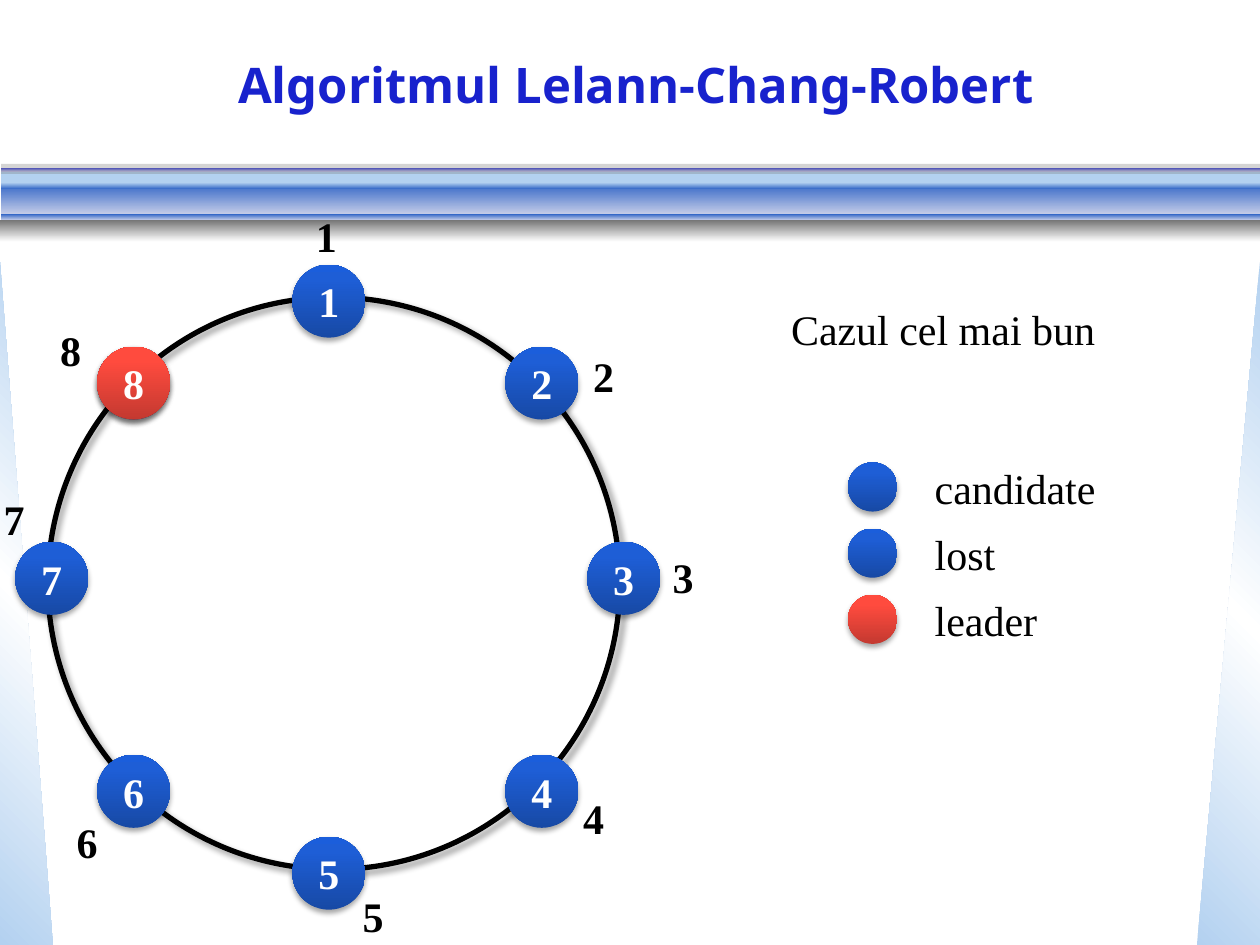
from pptx import Presentation
from pptx.dml.color import RGBColor
from pptx.enum.shapes import MSO_SHAPE as Shape
from pptx.enum.text import MSO_ANCHOR as Anchor, PP_ALIGN as Align
from pptx.oxml import parse_xml
from pptx.oxml.ns import nsdecls, qn
from pptx.util import Inches, Pt

BLACK = RGBColor(0x00, 0x00, 0x00)
WHITE = RGBColor(0xFF, 0xFF, 0xFF)
GRAY = RGBColor(0x77, 0x77, 0x77)
TITLE_BLUE = RGBColor(0x18, 0x22, 0xCD)
LILAC = RGBColor(0xBA, 0xBB, 0xE7)
SKY = RGBColor(0xB3, 0xD1, 0xF0)
BAND_BLUE = RGBColor(0x35, 0x68, 0xC7)
PALE = RGBColor(0xCA, 0xD0, 0xE9)

# Gradient stops: (position in percent, colour)
SIDE_STOPS = [(0, SKY), (50, WHITE), (100, SKY)]
BLUE_STOPS = [(0, RGBColor(0x17, 0x49, 0xA5)), (80, RGBColor(0x1E, 0x5E, 0xD6)),
              (100, RGBColor(0x1B, 0x5E, 0xDB))]
RED_STOPS = [(0, RGBColor(0xC4, 0x39, 0x30)), (80, RGBColor(0xFF, 0x4B, 0x3E)),
             (100, RGBColor(0xFF, 0x4C, 0x3F))]

# Shadows: opacity in percent, blur and distance in points, direction in degrees
NODE_SHADOW = (35, 3.1, 1.8, 90)
RING_SHADOW = (40, 4, 3, 45)

BODY = {"name": "Times New Roman", "size": Pt(24), "bold": False}
STRONG = {**BODY, "bold": True}
TITLE = {"name": "Noto Sans", "size": Pt(28), "bold": True}

NODE_SIZE = 0.58
DOT_SIZE = 0.39
# Number: node position, label position
NODES = {
    "8": ((0.77, 2.75), (0.38, 2.53)),
    "1": ((2.32, 2.1), (2.41, 1.62)),
    "2": ((4.01, 2.75), (4.61, 2.73)),
    "7": ((0.12, 4.3), (-0.07, 3.87)),
    "6": ((0.77, 5.99), (0.51, 6.43)),
    "5": ((2.32, 6.64), (2.78, 7.02)),
    "3": ((4.66, 4.3), (5.24, 4.33)),
    "4": ((4.01, 5.99), (4.53, 6.24)),
}
LEGEND = [("candidate", 1.49, BLUE_STOPS), ("lost", 0.69, BLUE_STOPS),
          ("leader", 1.02, RED_STOPS)]


def add_shape(slide, kind, left, top, width, height, flip=None):
    shape = slide.shapes.add_shape(
        kind, Inches(left), Inches(top), Inches(width), Inches(height))
    shape.shadow.inherit = False
    shape.fill.background()
    shape.line.fill.background()
    if flip:
        shape._element.spPr.find(qn("a:xfrm")).set(flip, "1")
    return shape


def set_gradient(shape, stops, angle):
    stop_xml = "".join(
        f'<a:gs pos="{position * 1000}"><a:srgbClr val="{color}"/></a:gs>'
        for position, color in stops)
    gradient = parse_xml(
        f'<a:gradFill {nsdecls("a")} rotWithShape="1"><a:gsLst>{stop_xml}</a:gsLst>'
        f'<a:lin ang="{angle * 60000}" scaled="0"/></a:gradFill>')
    properties = shape._element.spPr
    properties.replace(properties.find(qn("a:noFill")), gradient)


def set_solid(shape, color, opacity=100):
    shape.fill.solid()
    shape.fill.fore_color.rgb = color
    if opacity < 100:
        color_element = shape._element.spPr.find(qn("a:solidFill"))[0]
        color_element.append(parse_xml(
            f'<a:alpha {nsdecls("a")} val="{opacity * 1000}"/>'))


def set_shadow(shape, shadow):
    opacity, blur, distance, direction = shadow
    shape._element.spPr.find(qn("a:effectLst")).append(parse_xml(
        f'<a:outerShdw {nsdecls("a")} blurRad="{Pt(blur)}" dist="{Pt(distance)}" '
        f'dir="{direction * 60000}" rotWithShape="0"><a:srgbClr val="{BLACK}">'
        f'<a:alpha val="{opacity * 1000}"/></a:srgbClr></a:outerShdw>'))


def write_text(shape, text, font_format, color, align=Align.LEFT):
    paragraph = shape.text_frame.paragraphs[0]
    paragraph.alignment = align
    run = paragraph.add_run()
    run.text = text
    for name, value in font_format.items():
        setattr(run.font, name, value)
    run.font.color.rgb = color


def add_text(slide, text, left, top, width, height=0.5, font_format=BODY):
    box = slide.shapes.add_textbox(
        Inches(left), Inches(top), Inches(width), Inches(height))
    box.text_frame.word_wrap = False
    write_text(box, text, font_format, BLACK)


def add_ball(slide, left, top, size, stops, number=None):
    ball = add_shape(slide, Shape.OVAL, left, top, size, size)
    set_gradient(ball, stops, 270)
    set_shadow(ball, NODE_SHADOW)
    if number:
        ball.text_frame.vertical_anchor = Anchor.MIDDLE
        write_text(ball, number, STRONG, WHITE, Align.CENTER)


def add_band(slide, top, height, start, end, left=0.01, flip=None):
    band = add_shape(slide, Shape.RECTANGLE, left, top, 10 - left, height, flip)
    set_gradient(band, [(0, start), (100, end)], 90)


def add_background(slide):
    # Side triangles
    for left, width, angle, flip in [(0, 0.42, 315, None), (9.5, 0.5, 45, "flipH")]:
        triangle = add_shape(
            slide, Shape.RIGHT_TRIANGLE, left, 2.08, width, 5.42, flip)
        set_gradient(triangle, SIDE_STOPS, angle)

    # Bar under the title
    set_solid(add_shape(slide, Shape.RECTANGLE, 0.01, 1.36, 9.99, 0.1), SKY)
    add_band(slide, 1.46, 0.25, BAND_BLUE, PALE)
    add_band(slide, 1.33, 0.03, TITLE_BLUE, LILAC)
    add_band(slide, 1.7, 0.05, PALE, BAND_BLUE, flip="flipV")
    add_band(slide, 1.45, 0.05, SKY, BAND_BLUE)
    add_band(slide, 1.75, 0.17, GRAY, WHITE, left=0)
    set_solid(add_shape(slide, Shape.RECTANGLE, 0.01, 1.3, 9.99, 0.08), GRAY, 31)


def add_ring(slide):
    ring = add_shape(slide, Shape.OVAL, 0.38, 2.36, 4.54, 4.54)
    ring.line.color.rgb = BLACK
    ring.line.width = Pt(3)
    set_shadow(ring, RING_SHADOW)
    for number, (position, _) in NODES.items():
        add_ball(slide, *position, NODE_SIZE, BLUE_STOPS, number)
    for number, (_, position) in NODES.items():
        add_text(slide, number, *position, 0.37, font_format=STRONG)
    # The elected leader covers its candidate node
    add_ball(slide, *NODES["8"][0], NODE_SIZE, RED_STOPS, "8")


def add_legend(slide):
    for row, (text, width, stops) in enumerate(LEGEND):
        top = 3.67 + row * 0.525
        add_ball(slide, 6.73, top, DOT_SIZE, stops)
        add_text(slide, text, 7.32, top - 0.05, width)


def add_title(slide):
    title = slide.shapes.add_textbox(
        Inches(0.17), Inches(0.08), Inches(9.75), Inches(1.17))
    title.text_frame.word_wrap = True
    title.text_frame.vertical_anchor = Anchor.MIDDLE
    write_text(title, "Algoritmul Lelann-Chang-Robert", TITLE, TITLE_BLUE, Align.CENTER)


def main():
    presentation = Presentation()
    presentation.slide_width = Inches(10)
    presentation.slide_height = Inches(7.5)
    slide = presentation.slides.add_slide(presentation.slide_layouts[6])
    add_background(slide)
    add_ring(slide)
    add_legend(slide)
    add_text(slide, "Cazul cel mai bun", 6.18, 2.36, 2.64)
    add_title(slide)
    presentation.save("out.pptx")


if __name__ == "__main__":
    main()
